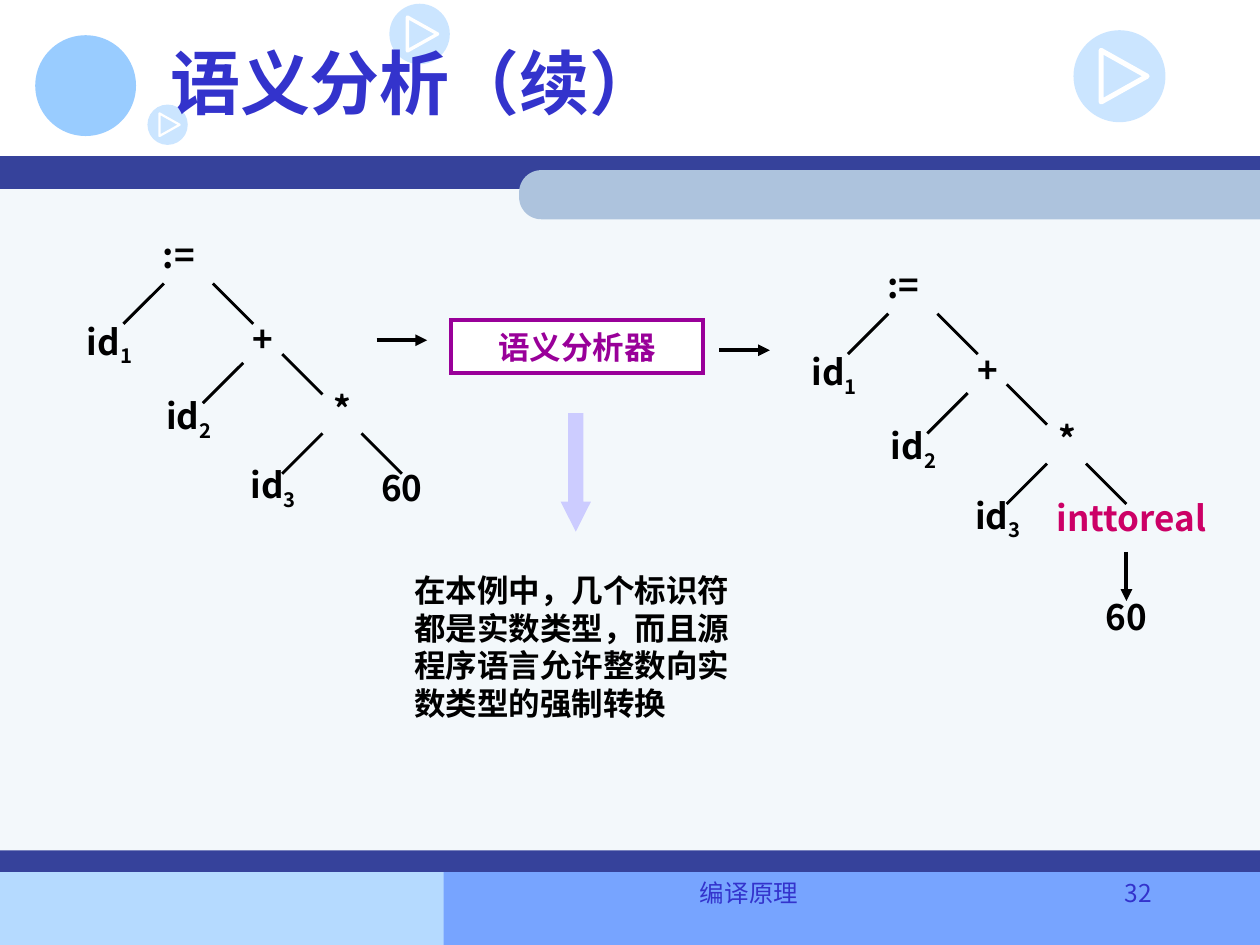
from lxml import etree
from pptx import Presentation
from pptx.dml.color import RGBColor
from pptx.enum.shapes import MSO_CONNECTOR as Connector, MSO_SHAPE as Shape
from pptx.enum.text import MSO_ANCHOR as Anchor, PP_ALIGN as Align
from pptx.oxml.ns import qn
from pptx.util import Inches, Pt

INK, TITLE, PURPLE, MAGENTA = "000000", "3333CC", "990099", "CC0066"
SANS, SERIF, FOOTER = "Noto Sans CJK SC", "Times New Roman", "Noto Sans CJK KR"


def color(hex_text):
    return RGBColor.from_string(hex_text)


def set_all(target, values):
    for name, value in values.items():
        setattr(target, name, value)


def paint(shape, fill, line=None, width=0):
    shape.shadow.inherit = False
    if fill:
        shape.fill.solid()
        shape.fill.fore_color.rgb = color(fill)
    else:
        shape.fill.background()
    if line:
        shape.line.color.rgb = color(line)
        shape.line.width = Pt(width)
    else:
        shape.line.fill.background()
    return shape


def add_block(page, kind, left, top, width, height, fill, line=None, weight=0):
    shape = page.shapes.add_shape(
        kind, Inches(left), Inches(top), Inches(width), Inches(height))
    return paint(shape, fill, line, weight)


def write(shape, spans, size, tint, font=SANS, bold=True, align=Align.CENTER,
          anchor=Anchor.MIDDLE, wrap=False):
    """Fill a shape with one paragraph; spans are (text, is_subscript) pairs."""
    frame = shape.text_frame
    set_all(frame, {"word_wrap": wrap, "vertical_anchor": anchor})
    para = frame.paragraphs[0]
    para.alignment = align
    for text, is_subscript in spans:
        span = para.add_run()
        span.text = text
        set_all(span.font, {"size": Pt(size), "bold": bold, "name": font})
        span.font.color.rgb = color(tint)
        if is_subscript:
            span.font._element.set("baseline", "-25000")


def add_text(page, left, top, width, height, spans, size, tint, **style):
    box = page.shapes.add_textbox(
        Inches(left), Inches(top), Inches(width), Inches(height))
    write(box, spans, size, tint, **style)


def add_line(page, x1, y1, x2, y2, width=1.64, arrow=False):
    line = page.shapes.add_connector(
        Connector.STRAIGHT, Inches(x1), Inches(y1), Inches(x2), Inches(y2))
    line.line.color.rgb = color(INK)
    line.line.width = Pt(width)
    if arrow:
        etree.SubElement(line.line._get_or_add_ln(), qn("a:tailEnd"), type="triangle")
    etree.SubElement(line._element.spPr, qn("a:effectLst"))


def add_badge(page, left, top, size):
    """Translucent disc holding an outlined triangle that points right."""
    disc = add_block(page, Shape.OVAL, left, top, size, size, "99CCFF")
    tint = disc._element.spPr.find(f"{qn('a:solidFill')}/{qn('a:srgbClr')}")
    etree.SubElement(tint, qn("a:alpha"), val="50000")
    corners = [(Inches(left + size * x), Inches(top + size * y))
               for x, y in ((0.3, 0.22), (0.8, 0.5), (0.3, 0.78))]
    builder = page.shapes.build_freeform(*corners[0])
    builder.add_line_segments(corners[1:], close=True)
    paint(builder.convert_to_shape(), None, "FFFFFF", size * 4)


def add_backdrop(page):
    for left, top, width, height, fill in (
            (0, 6.92, 4.25, 0.58, "B5DAFF"),
            (3.52, 6.91, 6.48, 0.59, "77A4FF"),
            (0, 1.4, 10, 5.51, "F3F8FB"),
            (0, 1.24, 10, 0.26, "36429B"),
            (0, 6.75, 10, 0.17, "36429B")):
        add_block(page, Shape.RECTANGLE, left, top, width, height, fill)
    left, top, width, height = 4.12, 1.35, 5.88, 0.39
    tab = add_block(page, Shape.ROUND_2_SAME_RECTANGLE, left + (width - height) / 2,
                    top + (height - width) / 2, height, width, "ADC3DD")
    tab.rotation = 270
    tab.adjustments[0] = 0.45
    add_block(page, Shape.OVAL, 0.28, 0.28, 0.8, 0.8, "99CCFF")
    for badge in ((3.09, 0.03, 0.48), (8.52, 0.24, 0.73), (1.17, 0.83, 0.32)):
        add_badge(page, *badge)


def add_title(page, left, top, width, height):
    title = page.shapes.title
    set_all(title, {"left": Inches(left), "top": Inches(top),
                    "width": Inches(width), "height": Inches(height)})
    write(title, [("语义分析（续）", False)], 40, TITLE, font=SERIF,
          align=Align.LEFT, wrap=True)
    page.shapes._spTree.append(title._element)


def add_label(page, center_x, center_y, text, subscript="", tint=INK, width=0.7):
    height = 0.39
    spans = [(text, False)] + ([(subscript, True)] if subscript else [])
    add_text(page, center_x - width / 2, center_y - height / 2, width, height,
             spans, 20, tint)


def add_tree(page, left, top, converted=False):
    """Syntax tree of id1 := id2 + id3 * 60, optionally with a type conversion."""
    reach = 0.32
    for x, y, direction in (
            (0.79, 0.39, -1), (1.42, 1.02, -1), (2.05, 1.58, -1),
            (1.18, 0.39, 1), (1.73, 0.95, 1), (2.36, 1.58, 1)):
        add_line(page, left + x, top + y, left + x + direction * reach, top + y + reach)
    labels = [(0.91, 0.16, ":="), (1.58, 0.83, "+"), (2.21, 1.38, "*"),
              (0.36, 0.87, "id", "1"), (0.99, 1.46, "id", "2"), (1.66, 2.01, "id", "3")]
    if converted:
        labels += [(2.72, 2.01, "inttoreal", "", MAGENTA, 1.5), (2.68, 2.79, "60")]
        add_line(page, left + 2.68, top + 2.28, left + 2.68, top + 2.67, 2.25, True)
    else:
        labels.append((2.68, 2.01, "60"))
    for x, y, *content in labels:
        add_label(page, left + x, top + y, *content)


def add_analyzer(page, left, top):
    """Analyzer box with its in and out arrows and the note below it."""
    box = add_block(page, Shape.RECTANGLE, left, top, 2, 0.42, "FFFFFF", PURPLE, 2.25)
    etree.SubElement(box.line._get_or_add_ln(), qn("a:miter"), lim="800000")
    write(box, [("语义分析器", False)], 18, PURPLE, font=SERIF)
    for x, y in ((-0.59, 0.16), (2.13, 0.24)):
        add_line(page, left + x, top + y, left + x + 0.4, top + y, 2.25, True)
    arrow = add_block(page, Shape.DOWN_ARROW, left + 0.87, top + 0.74, 0.24, 0.94, "CCCCFF")
    arrow.adjustments[0], arrow.adjustments[1] = 0.5, 0.99
    note = "在本例中，几个标识符都是实数类型，而且源程序语言允许整数向实数类型的强制转换"
    add_text(page, left - 0.39, top + 1.84, 2.8, 1.5, [(note, False)], 18, INK,
             font=SERIF, align=Align.LEFT, wrap=True)


def add_footer(page, top):
    for left, width, text, align in ((3.42, 5.05, "编译原理", Align.CENTER),
                                     (8.46, 0.78, "32", Align.RIGHT)):
        add_text(page, left, top, width, 0.5, [(text, False)], 14, TITLE, font=FOOTER,
                 bold=False, align=align, anchor=Anchor.TOP, wrap=True)


def main():
    deck = Presentation()
    set_all(deck, {"slide_width": Inches(10), "slide_height": Inches(7.5)})
    page = deck.slides.add_slide(deck.slide_layouts[5])
    add_backdrop(page)
    add_title(page, 1.25, 0.06, 8.5, 1.17)
    add_analyzer(page, 3.58, 2.54)
    add_tree(page, 0.51, 1.86)
    add_tree(page, 6.26, 2.1, converted=True)
    add_footer(page, 6.92)
    deck.save("out.pptx")


if __name__ == "__main__":
    main()
